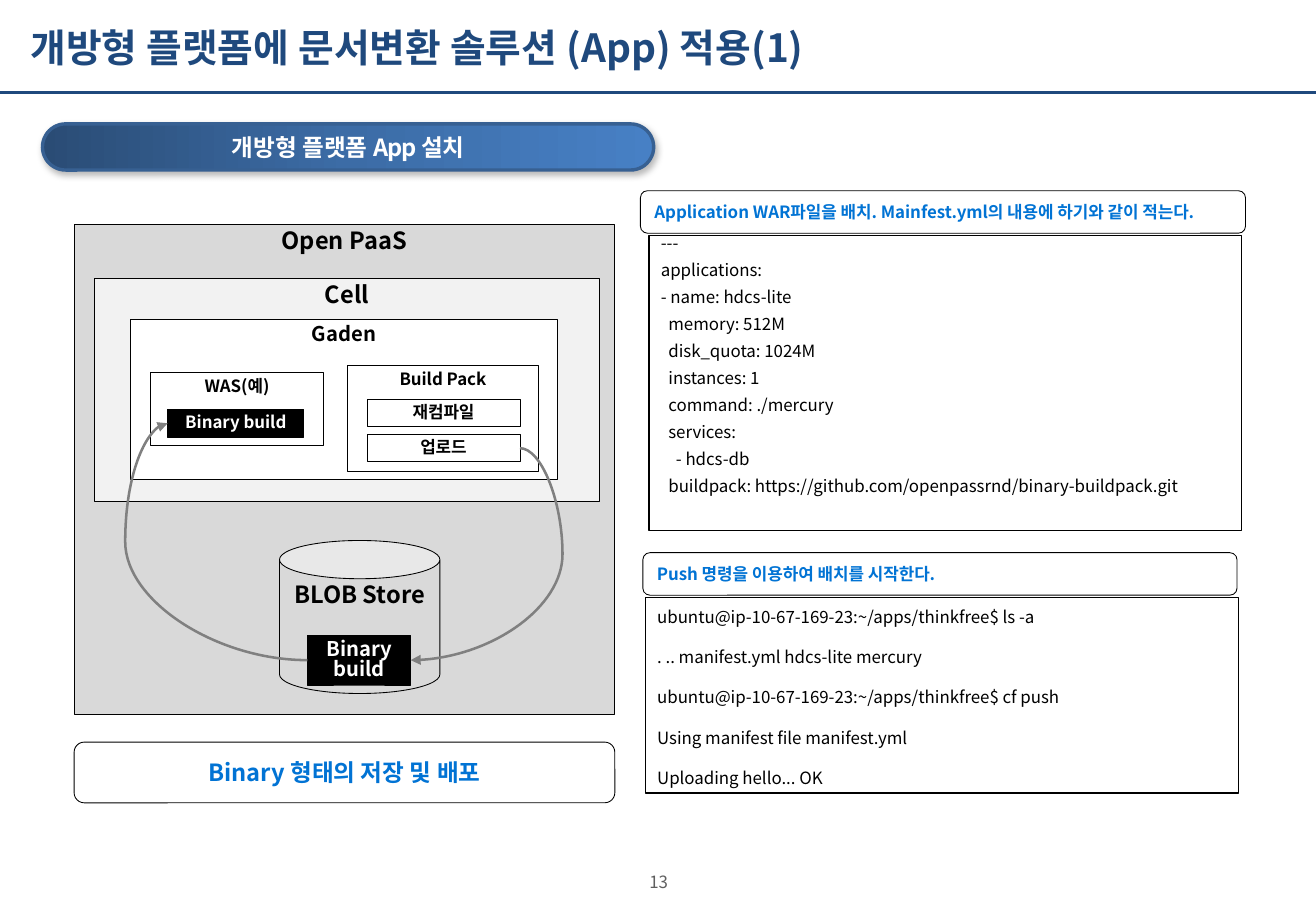
from copy import deepcopy

from lxml import etree
from pptx import Presentation
from pptx.dml.color import RGBColor
from pptx.enum.shapes import MSO_CONNECTOR, MSO_SHAPE
from pptx.enum.text import MSO_ANCHOR, PP_ALIGN
from pptx.oxml import parse_xml
from pptx.oxml.ns import nsdecls, qn
from pptx.util import Pt

RECT = MSO_SHAPE.RECTANGLE
ROUND = MSO_SHAPE.ROUNDED_RECTANGLE
CAN = MSO_SHAPE.CAN
STRAIGHT, CURVE = MSO_CONNECTOR.STRAIGHT, MSO_CONNECTOR.CURVE
TOP, MIDDLE = MSO_ANCHOR.TOP, MSO_ANCHOR.MIDDLE
LEFT, CENTER = PP_ALIGN.LEFT, PP_ALIGN.CENTER
LEFT_SIDE, RIGHT_SIDE = 1, 3

PX = 9144  # 100 px to the inch
FONT, LATIN = "Noto Sans CJK KR", "Arial"
TITLE_ONLY = 5
COLORS = {
    "navy": "1F497D", "blue": "0173D4", "black": "000000", "white": "FFFFFF",
    "panel": "D9D9D9", "cell": "F2F2F2", "arrow": "808080", "number": "5F5F5F",
    "pill_edge": "376092", "pill_dark": "2A4C75", "pill_mid": "3C6CA6",
    "pill_light": "4780C5",
}


def rgb(name):
    return RGBColor.from_string(COLORS[name])


class Slide:
    """Holds the page and draws each kind of element in the common style."""

    def __init__(self, deck):
        self.page = deck.slides.add_slide(deck.slide_layouts[TITLE_ONLY])

    def set_text(self, box, paras, size, color="black", bold=True, align=CENTER,
                 anchor=MIDDLE, spacing=None, after=0, wrap=True):
        """Each paragraph is a string or a list of (text, font name) spans."""
        frame = box.text_frame
        frame.word_wrap = wrap
        frame.vertical_anchor = anchor
        for index, content in enumerate(paras):
            para = frame.add_paragraph() if index else frame.paragraphs[0]
            para.alignment = align
            para.space_before, para.space_after = Pt(0), Pt(after)
            if spacing:
                para.line_spacing = spacing
            font = para.font
            font.size, font.bold, font.name = Pt(size), bold, FONT
            font.color.rgb = rgb(color)
            east = etree.SubElement(para._p.pPr.find(qn("a:defRPr")), qn("a:ea"))
            east.set("typeface", FONT)
            if isinstance(content, str):
                para.add_run().text = content
                continue
            for text, name in content:
                span = para.add_run()
                span.text, span.font.name = text, name

    def title(self, place, spans, size):
        box = self.page.shapes.title
        box.left, box.top, box.width, box.height = [v * PX for v in place]
        self.set_text(box, [spans], size, "navy", align=LEFT)

    def text(self, place, content, size, color):
        box = self.page.shapes.add_textbox(*[v * PX for v in place])
        frame = box.text_frame
        frame.margin_left = frame.margin_right = 0
        frame.margin_top = frame.margin_bottom = 0
        self.set_text(box, [content], size, color, bold=False)

    def shape(self, kind, place, fill=None, edge="black", weight=0.5, adjust=None):
        box = self.page.shapes.add_shape(kind, *[v * PX for v in place])
        box.shadow.inherit = False
        if fill:
            box.fill.solid()
            box.fill.fore_color.rgb = rgb(fill)
        else:
            box.fill.background()
        box.line.color.rgb = rgb(edge)
        box.line.width = Pt(weight)
        if adjust is not None:
            box.adjustments[0] = adjust
        return box

    def block(self, place, label, size, fill="white", color="black",
              anchor=TOP, kind=RECT):
        box = self.shape(kind, place, fill)
        self.set_text(box, [label], size, color, anchor=anchor, spacing=0.85)
        return box

    def label(self, place, content, size=10, align=LEFT):
        box = self.shape(ROUND, place, "white", adjust=0.167)
        self.set_text(box, [content], size, "blue", align=align)

    def listing(self, place, lines, spacing):
        box = self.shape(RECT, place, weight=0.75)
        self.set_text(box, lines, 10, bold=False, align=LEFT, anchor=TOP,
                      spacing=spacing, after=10)

    def pill(self, place, spans, size):
        box = self.shape(ROUND, place, edge="pill_edge", weight=2, adjust=0.5)
        box.fill.gradient()
        box.fill.gradient_angle = 0
        first, last = box.fill.gradient_stops
        first.color.rgb, last.color.rgb = rgb("pill_dark"), rgb("pill_light")
        start = box._element.spPr.find(".//" + qn("a:gs"))
        middle = deepcopy(start)
        middle.set("pos", "50000")
        middle[0].set("val", COLORS["pill_mid"])
        start.addnext(middle)
        effects = box._element.spPr.find(qn("a:effectLst"))
        effects.append(parse_xml(
            f'<a:outerShdw {nsdecls("a")} blurRad="50800" dist="25400" dir="4200000" '
            'rotWithShape="0"><a:srgbClr val="000000"><a:alpha val="28000"/>'
            '</a:srgbClr></a:outerShdw>'))
        self.set_text(box, [spans], size, "white", wrap=False)
        box.text_frame.paragraphs[0].runs[-1].font._element.set("spc", "-50")

    def line(self, kind, start, end, color):
        link = self.page.shapes.add_connector(kind, *start, *end)
        link.line.color.rgb = rgb(color)
        link.line.width = Pt(1.5)
        etree.SubElement(link._element.spPr, qn("a:effectLst"))
        return link

    def curve(self, source, target, side, bend):
        """Curved arrow between the same side of two boxes."""
        ends = [(box.left + (box.width if side == RIGHT_SIDE else 0),
                 box.top + box.height // 2) for box in (source, target)]
        link = self.line(CURVE, *ends, "arrow")
        link.begin_connect(source, side)
        link.end_connect(target, side)
        guides = link._element.spPr.find(qn("a:prstGeom")).get_or_add_avLst()
        guide = etree.SubElement(guides, qn("a:gd"))
        guide.set("name", "adj1")
        guide.set("fmla", f"val {bend}")
        head = etree.SubElement(link.line._get_or_add_ln(), qn("a:tailEnd"))
        head.set("type", "triangle")


def main():
    deck = Presentation()
    deck.slide_width, deck.slide_height = 1083 * PX, 750 * PX
    slide = Slide(deck)

    # Heading and page number
    slide.title((15, 3, 801, 71), [("개방형 플랫폼", LATIN),
                                   ("에 문서변환 솔루션 (App) 적용(1)", FONT)], 23)
    slide.line(STRAIGHT, (0, 76 * PX), (1083 * PX, 76 * PX), "navy")
    slide.text((483, 718, 118, 16), "13", 10, "number")
    slide.pill((35, 102, 503, 38), [("개방형 플랫폼 ", LATIN), ("App 설치", FONT)], 14)

    # Platform diagram
    slide.label((61, 611, 445, 50), "Binary 형태의 저장 및 배포", 14, CENTER)
    slide.block((61, 185, 445, 403), "Open PaaS", 14, "panel")
    slide.block((230, 445, 132, 126), "BLOB Store", 14, "panel", kind=CAN)
    stored = slide.block((253, 523, 85, 41), "Binary build", 12, "black", "white", MIDDLE)
    slide.block((78, 229, 415, 184), "Cell", 14, "cell")
    slide.block((107, 263, 352, 132), "Gaden", 12)
    slide.block((124, 307, 142, 60), "WAS(예)", 10)
    deployed = slide.block((138, 337, 112, 23), "Binary build", 10, "black", "white", MIDDLE)
    slide.curve(stored, deployed, LEFT_SIDE, 130400)
    slide.block((286, 301, 157, 87), "Build Pack", 10)
    steps = [slide.block((302, 329 + 29 * row, 126, 22), name, 10, anchor=MIDDLE)
             for row, name in enumerate(("재컴파일", "업로드"))]
    slide.curve(steps[-1], stored, RIGHT_SIDE, -38900)

    # Manifest and push command
    slide.listing((534, 194, 488, 243), [
        "---",
        "applications:",
        "- name: hdcs-lite",
        "  memory: 512M",
        "  disk_quota: 1024M",
        "  instances: 1",
        "  command: ./mercury",
        "  services:",
        "    - hdcs-db",
        "  buildpack: https://github.com/openpassrnd/binary-buildpack.git",
    ], 0.5)
    slide.listing((531, 492, 488, 161), [
        "ubuntu@ip-10-67-169-23:~/apps/thinkfree$ ls -a",
        ". .. manifest.yml hdcs-lite mercury",
        "ubuntu@ip-10-67-169-23:~/apps/thinkfree$ cf push",
        "Using manifest file manifest.yml",
        "Uploading hello... OK",
    ], 1.15)
    slide.label((527, 157, 498, 35),
                "Application WAR파일을 배치. Mainfest.yml의 내용에 하기와 같이 적는다.")
    slide.label((529, 455, 489, 35), "Push 명령을 이용하여 배치를 시작한다.")

    deck.save("out.pptx")


if __name__ == "__main__":
    main()
